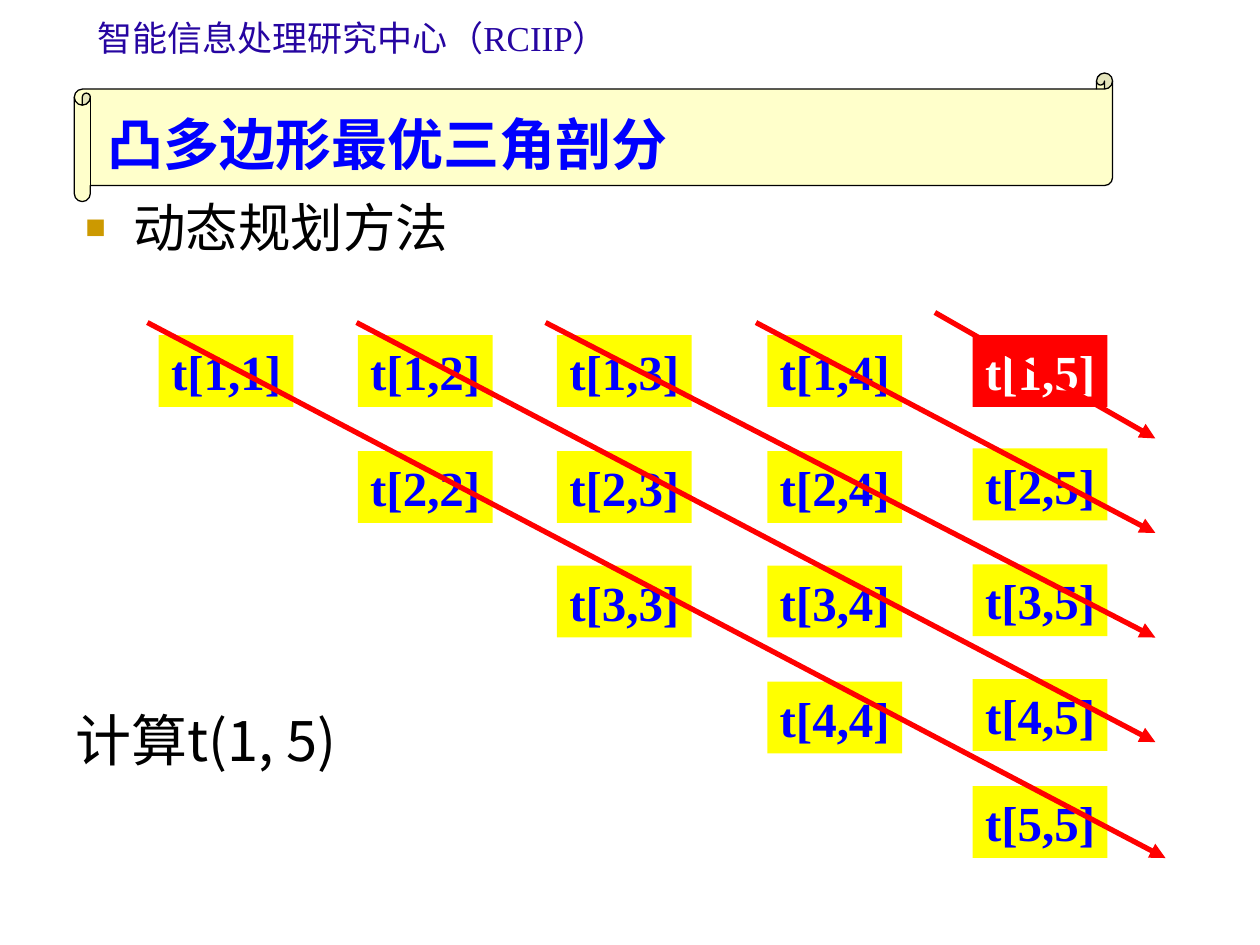
from lxml.etree import SubElement
from pptx import Presentation
from pptx.dml.color import RGBColor
from pptx.enum.shapes import MSO_CONNECTOR, MSO_SHAPE
from pptx.enum.text import MSO_ANCHOR, MSO_AUTO_SIZE, PP_ALIGN
from pptx.oxml.ns import qn
from pptx.util import Inches, Pt

BLACK = RGBColor(0x00, 0x00, 0x00)
WHITE = RGBColor(0xFF, 0xFF, 0xFF)
RED = RGBColor(0xFF, 0x00, 0x00)
BLUE = RGBColor(0x00, 0x00, 0xFF)
YELLOW = RGBColor(0xFF, 0xFF, 0x00)
CREAM = RGBColor(0xFF, 0xFF, 0x99)
INDIGO = RGBColor(0x26, 0x05, 0xA1)
GOLD = "CC9900"

SANS, SERIF, CJK = "Arial", "Times New Roman", "Noto Sans CJK SC"

COLUMNS = [1.26, 2.84, 4.42, 6.09, 7.72]
ROWS = [2.66, 3.58, 4.49, 5.41]
LAST_COLUMN_ROWS = [2.66, 3.56, 4.48, 5.39, 6.24]
DIAGONALS = [
    (1.17, 2.56, 9.25, 6.81),
    (2.83, 2.56, 9.17, 5.89),
    (4.33, 2.56, 9.17, 5.06),
    (6.00, 2.56, 9.17, 4.23),
    (7.42, 2.48, 9.17, 3.48),
]


class Deck:
    def __init__(self):
        self.prs = Presentation()
        self.prs.slide_width, self.prs.slide_height = Inches(10), Inches(7.5)
        self.s = self.prs.slides.add_slide(self.prs.slide_layouts[5])

    def run(self, p, text, size, color, font=SANS, bold=False):
        r = p.add_run()
        r.text = text
        r.font.size, r.font.bold, r.font.name = Pt(size), bold, font
        r.font.color.rgb = color
        SubElement(r.font._element, qn("a:ea"), typeface=CJK)

    def frame(self, sp, anchor=MSO_ANCHOR.TOP, align=PP_ALIGN.LEFT, wrap=True):
        """Set up the text frame and return its first paragraph."""
        tf = sp.text_frame
        tf.auto_size = MSO_AUTO_SIZE.NONE
        tf.word_wrap = wrap
        tf.vertical_anchor = anchor
        p = tf.paragraphs[0]
        p.alignment = align
        return p

    def text(self, x, y, w, h, **layout):
        box = self.s.shapes.add_textbox(*map(Inches, (x, y, w, h)))
        return self.frame(box, **layout)

    def title(self, text, x, y, w, h):
        sp = self.s.shapes.title
        sp.left, sp.top, sp.width, sp.height = map(Inches, (x, y, w, h))
        self.run(self.frame(sp, MSO_ANCHOR.BOTTOM), text, 32, BLUE, bold=True)

    def scroll(self, x, y, w, h):
        """Draw the half-transparent banner behind the title."""
        sp = self.s.shapes.add_shape(MSO_SHAPE.HORIZONTAL_SCROLL,
                                     *map(Inches, (x, y, w, h)))
        sp.shadow.inherit = False
        sp.adjustments[0] = 0.125
        sp.fill.solid()
        sp.fill.fore_color.rgb = CREAM
        color = sp._element.spPr.find(qn("a:solidFill"))[0]
        SubElement(color, qn("a:alpha"), val="50000")
        sp.line.color.rgb = BLACK
        sp.line.width = Pt(0.75)
        self.s.shapes._spTree.insert(2, sp._element)

    def bullet(self, text, x, y, w, h):
        p = self.text(x, y, w, h)
        pPr = p._p.get_or_add_pPr()
        pPr.set("marL", str(Inches(0.38)))
        pPr.set("indent", str(-Inches(0.38)))
        SubElement(SubElement(pPr, qn("a:buClr")), qn("a:srgbClr"), val=GOLD)
        SubElement(pPr, qn("a:buSzPct"), val="65000")
        SubElement(pPr, qn("a:buFont"), typeface=SANS)
        SubElement(pPr, qn("a:buChar"), char="■")
        self.run(p, text, 30, BLACK)

    def cell(self, group, text, x, y, fill, color):
        sp = group.shapes.add_shape(MSO_SHAPE.RECTANGLE,
                                    *map(Inches, (x, y, 1.07, 0.57)))
        sp.shadow.inherit = False
        sp.fill.solid()
        sp.fill.fore_color.rgb = fill
        sp.line.fill.background()
        p = self.frame(sp, MSO_ANCHOR.MIDDLE, PP_ALIGN.CENTER, wrap=False)
        self.run(p, text, 28, color, SERIF, bold=True)

    def arrow(self, *ends):
        line = self.s.shapes.add_connector(MSO_CONNECTOR.STRAIGHT,
                                           *map(Inches, ends))
        line.line.color.rgb = RED
        line.line.width = Pt(3)
        SubElement(line.line._get_or_add_ln(), qn("a:tailEnd"), type="triangle")
        SubElement(line._element.spPr, qn("a:effectLst"))


def main():
    deck = Deck()
    deck.title("凸多边形最优三角剖分", 0.75, 0.58, 7.01, 0.87)
    deck.scroll(0.59, 0.58, 8.24, 1.02)
    p = deck.text(0.75, 0, 4.1, 0.6, anchor=MSO_ANCHOR.MIDDLE,
                  align=PP_ALIGN.CENTER, wrap=False)
    deck.run(p, "智能信息处理研究中心", 20, INDIGO)
    deck.run(p, "（RCIIP）", 20, INDIGO, SERIF)
    deck.bullet("动态规划方法", 0.58, 1.5, 8.5, 5.33)

    table = deck.s.shapes.add_group_shape()
    for j, x in enumerate(COLUMNS, 1):
        rows = LAST_COLUMN_ROWS if j == len(COLUMNS) else ROWS[:j]
        for i, y in enumerate(rows, 1):
            is_goal = (i, j) == (1, 5)
            fill, color = (RED, WHITE) if is_goal else (YELLOW, BLUE)
            deck.cell(table, f"t[{i},{j}]", x, y, fill, color)

    for ends in DIAGONALS:
        deck.arrow(*ends)
    p = deck.text(0.5, 5.55, 3.07, 0.64)
    deck.run(p, "计算t(1, 5)", 32, BLACK, CJK)
    deck.prs.save("out.pptx")


if __name__ == "__main__":
    main()
